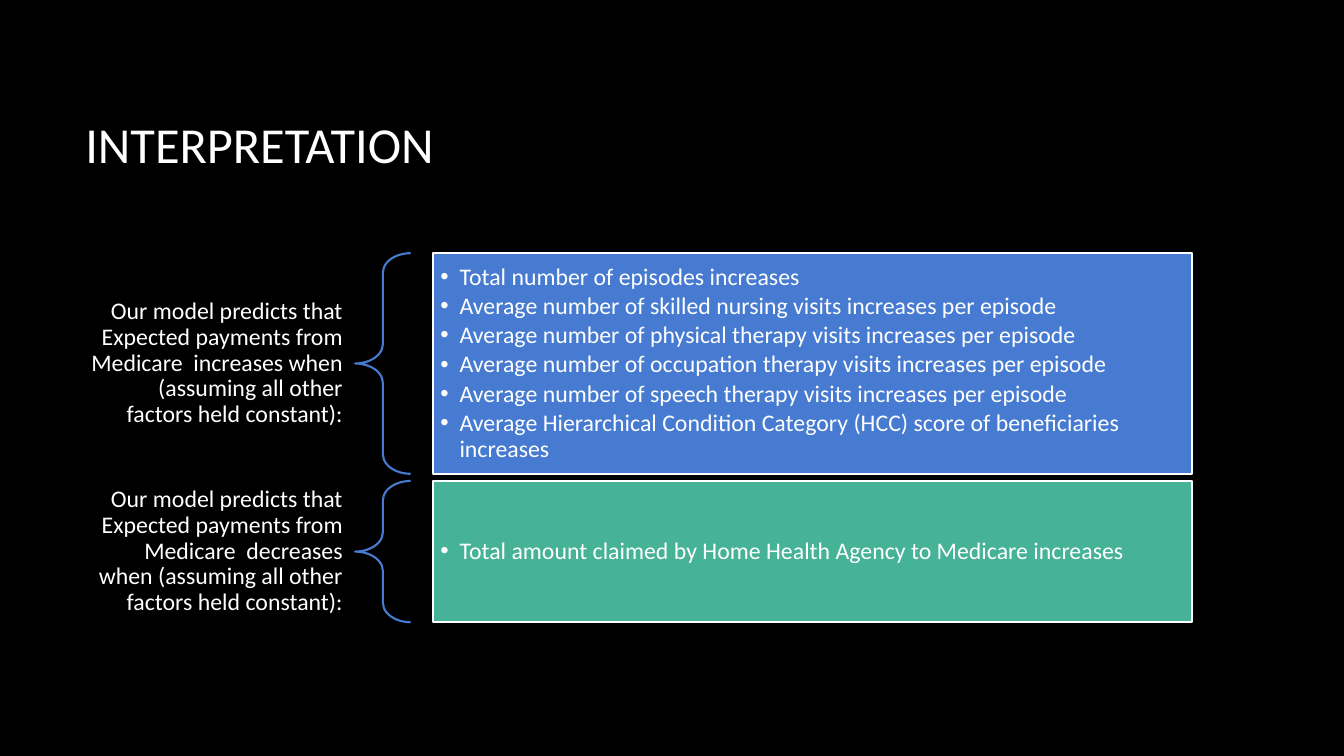
"""Build the slide that interprets what raises and lowers expected Medicare payments."""
from dataclasses import dataclass

from lxml.etree import SubElement
from pptx import Presentation
from pptx.dml.color import RGBColor
from pptx.enum.shapes import MSO_SHAPE
from pptx.enum.text import MSO_ANCHOR, MSO_AUTO_SIZE, PP_ALIGN
from pptx.oxml.ns import qn
from pptx.util import Cm, Pt


@dataclass(frozen=True)
class Theme:
    font: str = "Calibri"
    title_size: int = 36
    text_size: int = 17
    line_width: float = 1.5
    background: RGBColor = RGBColor.from_string("000000")
    white: RGBColor = RGBColor.from_string("FFFFFF")
    blue: RGBColor = RGBColor.from_string("477BD1")
    green: RGBColor = RGBColor.from_string("46B298")


theme = Theme()


def set_frame(box, side, top):
    frame = box.text_frame
    frame.word_wrap = True
    frame.auto_size = MSO_AUTO_SIZE.NONE
    frame.vertical_anchor = MSO_ANCHOR.MIDDLE
    frame.margin_left = frame.margin_right = Cm(side)
    frame.margin_top = frame.margin_bottom = Cm(top)
    return frame


def write(para, text, size, align, spacing=1.0, after=0.0):
    para.alignment = align
    para.line_spacing = spacing
    para.space_before = Pt(0)
    para.space_after = Pt(after)
    span = para.add_run()
    span.text = text
    span.font.name = theme.font
    span.font.size = Pt(size)
    span.font.color.rgb = theme.white


groups = [
    ("Our model predicts that Expected payments from Medicare  increases when "
     "(assuming all other factors held constant):",
     ["Total number of episodes increases",
      "Average number of skilled nursing visits increases per episode",
      "Average number of physical therapy visits increases per episode",
      "Average number of occupation therapy visits increases per episode",
      "Average number of speech therapy visits increases per episode",
      "Average Hierarchical Condition Category (HCC) score of beneficiaries increases"],
     theme.blue, 5.56),
    ("Our model predicts that Expected payments from Medicare  decreases when "
     "(assuming all other factors held constant):",
     ["Total amount claimed by Home Health Agency to Medicare increases"],
     theme.green, 3.56),
]

deck = Presentation()
deck.slide_width, deck.slide_height = Cm(33.87), Cm(19.05)
page = deck.slides.add_slide(deck.slide_layouts.get_by_name("Two Content"))
page.background.fill.solid()
page.background.fill.fore_color.rgb = theme.background

title = page.shapes.title
title.left, title.top, title.width, title.height = Cm(1.9), Cm(1.7), Cm(28.14), Cm(4.04)
write(set_frame(title, 0.25, 0.13).paragraphs[0], "INTERPRETATION",
      theme.title_size, PP_ALIGN.LEFT, 0.9)

label_height, row_gap = 3.56, 0.18
row_top = 6.38
panels = list(page.placeholders)[1:]
for panel, (premise, factors, color, row_height) in zip(panels, groups):
    label_top = row_top + (row_height - label_height) / 2
    label = page.shapes.add_textbox(Cm(1.93), Cm(label_top), Cm(7.04), Cm(label_height))
    write(set_frame(label, 0.33, 0.13).paragraphs[0], premise,
          theme.text_size, PP_ALIGN.RIGHT, 0.9)

    brace = page.shapes.add_shape(MSO_SHAPE.LEFT_BRACE, Cm(8.95), Cm(row_top),
                                  Cm(1.4), Cm(row_height))
    brace.adjustments[0] = 0.35
    brace.shadow.inherit = False
    brace.fill.background()
    brace.line.color.rgb = theme.blue
    brace.line.width = Pt(theme.line_width)

    panel.left, panel.top = Cm(10.92), Cm(row_top)
    panel.width, panel.height = Cm(19.13), Cm(row_height)
    panel.fill.solid()
    panel.fill.fore_color.rgb = color
    panel.line.color.rgb = theme.white
    panel.line.width = Pt(theme.line_width)
    frame = set_frame(panel, 0.18, 0.18)
    for index, factor in enumerate(factors):
        para = frame.add_paragraph() if index else frame.paragraphs[0]
        write(para, factor, theme.text_size, PP_ALIGN.LEFT, 0.9, 0.15 * theme.text_size)
        properties = para._p.get_or_add_pPr()
        properties.set("marL", str(Cm(0.48)))
        properties.set("indent", str(-Cm(0.48)))
        SubElement(properties, qn("a:buChar"), char="•")
    row_top += row_height + row_gap

deck.save("out.pptx")
